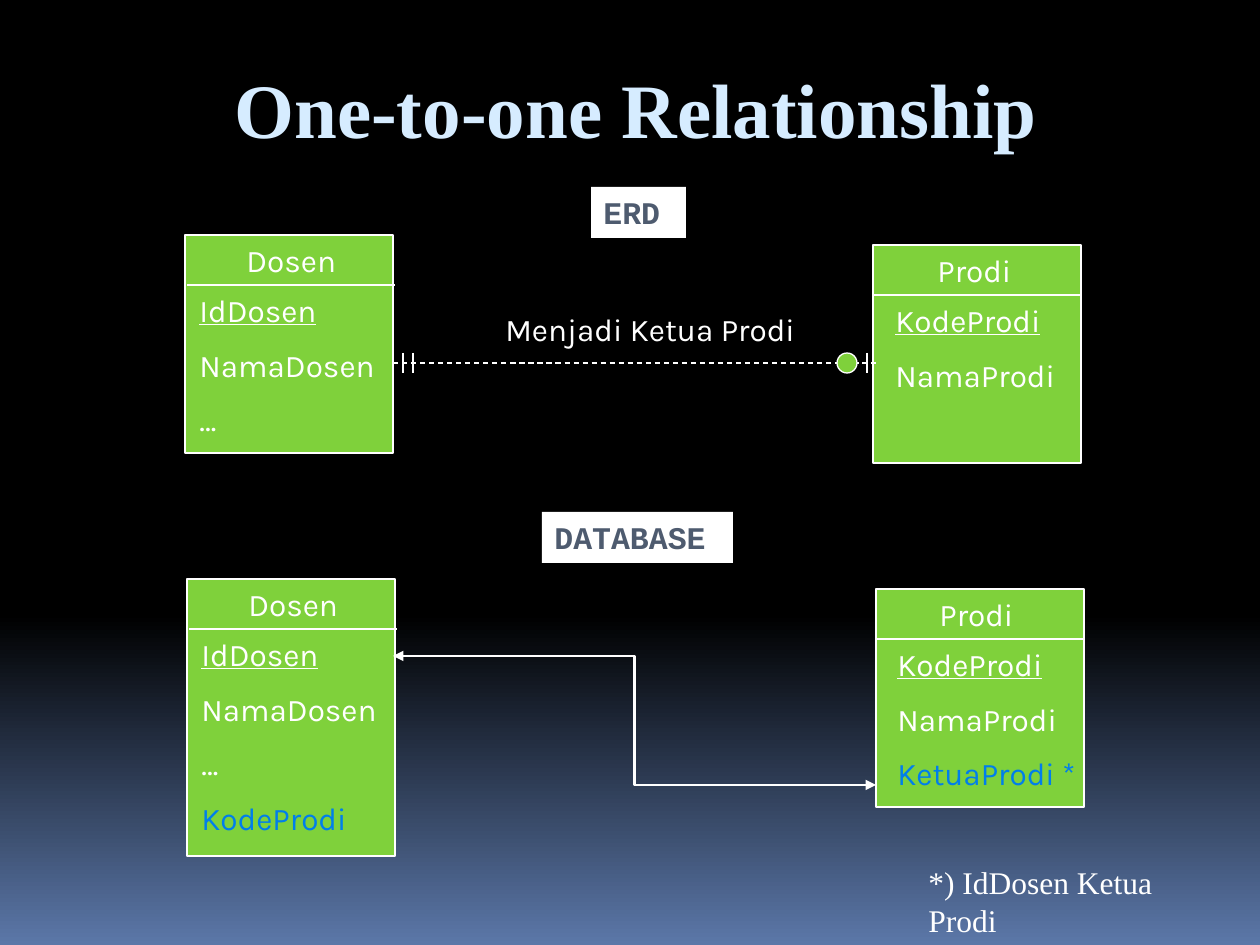
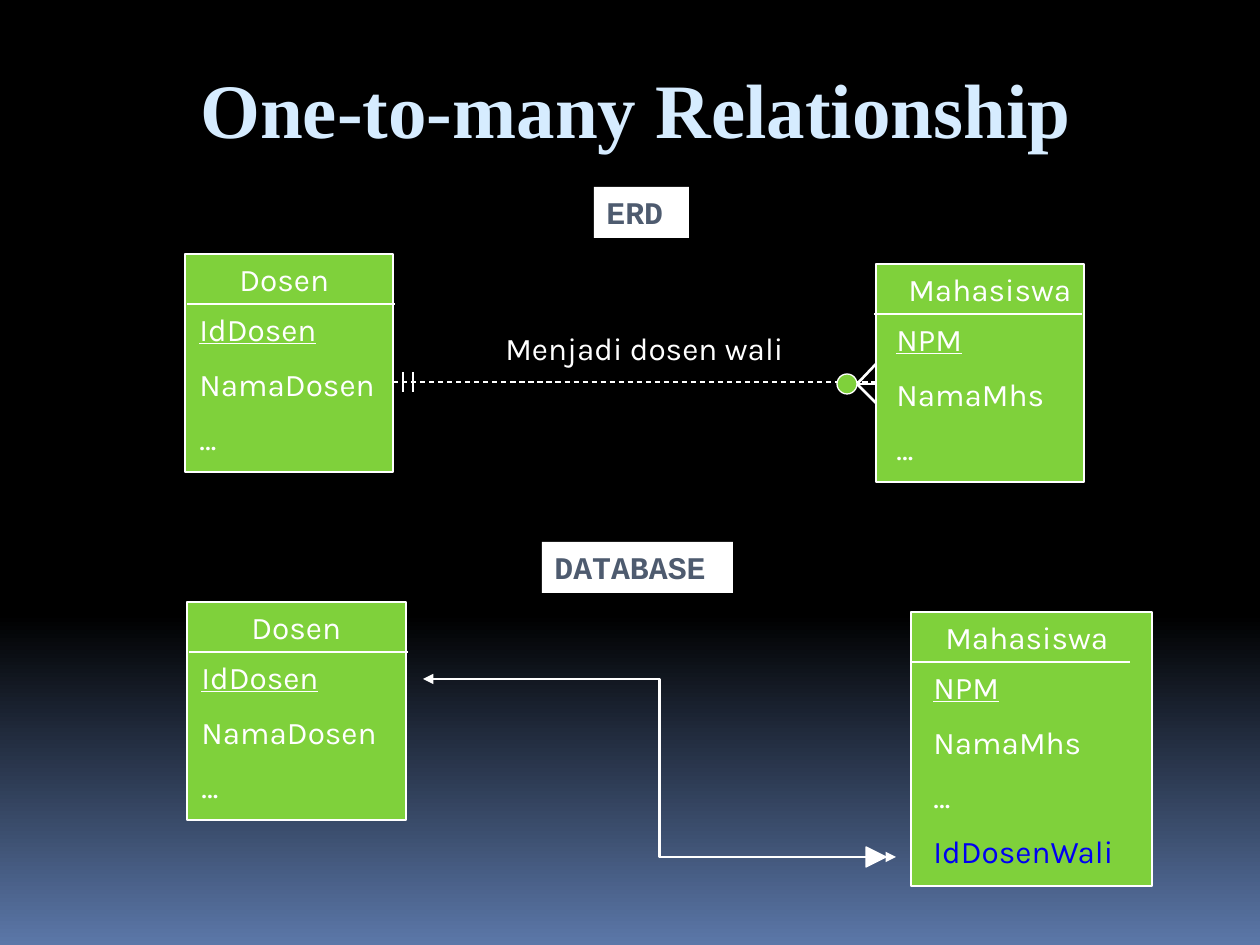
from dataclasses import dataclass
from typing import NamedTuple

from lxml import etree
from pptx import Presentation, util as u
from pptx.dml.color import RGBColor
from pptx.enum import dml, shapes, text
from pptx.oxml.ns import qn

EMU_PER_INCH, PX_PER_INCH = 914400, 126
BLACK, HAZE, WHITE = "000000", "5B77A8", "FFFFFF"
GREEN, TITLE, SLATE = "7FD13B", "D6ECFF", "4E5B6F"
SKY, NAVY = "007EEB", "0000F2"
BODY, SERIF, MONO = "Karla", "Times New Roman", "Courier New"
THIN, MEDIUM, THICK = 0.75, 1.25, 1.5
HEADER_H = 50


class Line(NamedTuple):
    x1: int
    y1: int
    x2: int
    y2: int


class Box(NamedTuple):
    x: int
    y: int
    w: int
    h: int


@dataclass(frozen=True)
class Entity:
    """A box with a name, a ruled header and fields, the first being the key."""
    name: str
    box: Box
    fields: tuple[str, ...]
    name_dx: int
    fields_dx: int
    rule_dx: int = 0
    rule_w: int = 0
    foreign: str = ""  # colour of the last field when it is a foreign key


@dataclass(frozen=True)
class Relationship:
    title: str
    entities: tuple[Entity, ...]
    caption: str
    axis_y: int
    circle_y: int
    marks: tuple[Line, ...]
    mark_width: float
    reference: Line
    erd_x: int
    database_y: int
    footnote: str = ""
    many_arrow: bool = False


def px(n: int) -> u.Emu:
    return u.Emu(round(n * EMU_PER_INCH / PX_PER_INCH))


def rgb(value: str) -> RGBColor:
    return RGBColor.from_string(value)


def add_run(p, words: str, color: str, font: str = BODY, size: int = 18,
            bold: bool = False, underline: bool = False) -> None:
    r = p.add_run()
    r.text = words
    r.font.name, r.font.size = font, u.Pt(size)
    r.font.bold, r.font.underline = bold, underline
    r.font.color.rgb = rgb(color)


def add_text(s, box: Box):
    """Add an empty wrapping text box and return its text frame."""
    tf = s.shapes.add_textbox(*map(px, box)).text_frame
    tf.word_wrap = True
    return tf


def add_shape(s, kind, box: Box, fill: str, outlined: bool = True):
    sp = s.shapes.add_shape(kind, *map(px, box))
    sp.shadow.inherit = False
    sp.fill.solid()
    sp.fill.fore_color.rgb = rgb(fill)
    if outlined:
        sp.line.color.rgb = rgb(WHITE)
        sp.line.width = u.Pt(THIN)
    else:
        sp.line.fill.background()
    return sp


def add_line(s, line: Line, width: float = THIN,
             kind=shapes.MSO_CONNECTOR.STRAIGHT):
    cx = s.shapes.add_connector(kind, *map(px, line))
    cx.line.color.rgb = rgb(WHITE)
    cx.line.width = u.Pt(width)
    etree.SubElement(cx._element.spPr, qn("a:effectLst"))
    return cx


def add_reference(s, line: Line) -> None:
    """Draw an elbow with an arrowhead at both ends."""
    cx = add_line(s, line, MEDIUM, shapes.MSO_CONNECTOR.ELBOW)
    ln = cx.line._get_or_add_ln()
    for end in ("a:headEnd", "a:tailEnd"):
        etree.SubElement(ln, qn(end), type="triangle")


def add_label(s, words: str, box: Box) -> None:
    sp = add_shape(s, shapes.MSO_SHAPE.RECTANGLE, box, WHITE, outlined=False)
    tf = sp.text_frame
    tf.vertical_anchor = text.MSO_ANCHOR.TOP
    p = tf.paragraphs[0]
    p.alignment = text.PP_ALIGN.LEFT
    add_run(p, words, SLATE, MONO, bold=True)


def add_entity(s, e: Entity) -> None:
    x, y, w, h = e.box
    rule_x, rule_y = x + e.rule_dx, y + HEADER_H
    add_shape(s, shapes.MSO_SHAPE.RECTANGLE, e.box, GREEN)
    add_line(s, Line(rule_x, rule_y, rule_x + (e.rule_w or w), rule_y))
    tf = add_text(s, Box(x + e.name_dx, y, 190, HEADER_H))
    add_run(tf.paragraphs[0], e.name, WHITE)
    tf = add_text(s, Box(x + e.fields_dx, rule_y, w + 20, h - HEADER_H))
    last = len(e.fields) - 1
    for i, field in enumerate(e.fields):
        p = tf.add_paragraph() if i else tf.paragraphs[0]
        if i:
            p.space_before = u.Pt(9.6)
        color = e.foreign if e.foreign and i == last else WHITE
        add_run(p, field, color, underline=i == 0)


def add_background(s) -> None:
    fill = s.background.fill
    fill.gradient()
    fill.gradient_angle = 270
    for stop, position, color in zip(fill.gradient_stops, (0.65, 1), (BLACK, HAZE)):
        stop.position = position
        stop.color.rgb = rgb(color)


def add_title(s, words: str) -> None:
    tf = add_text(s, Box(69, 29, 1134, 158))
    tf.vertical_anchor = text.MSO_ANCHOR.MIDDLE
    p = tf.paragraphs[0]
    p.alignment = text.PP_ALIGN.CENTER
    add_run(p, words, TITLE, SERIF, 44, bold=True)


def add_relationship(prs, rel: Relationship) -> None:
    s = prs.slides.add_slide(prs.slide_layouts[6])
    add_background(s)
    add_title(s, rel.title)
    for e in rel.entities:
        add_entity(s, e)

    tf = add_text(s, Box(493, rel.axis_y - 59, 318, 50))
    add_run(tf.paragraphs[0], rel.caption, WHITE)
    axis = add_line(s, Line(393, rel.axis_y, 876, rel.axis_y))
    axis.line.dash_style = dml.MSO_LINE.DASH
    for mark in rel.marks:
        add_line(s, mark, rel.mark_width)
    add_shape(s, shapes.MSO_SHAPE.OVAL, Box(837, rel.circle_y, 20, 20), GREEN)

    add_reference(s, rel.reference)
    add_label(s, "ERD", Box(rel.erd_x, 187, 95, 51))
    add_label(s, "DATABASE", Box(542, rel.database_y, 191, 51))
    if rel.many_arrow:
        sp = add_shape(s, shapes.MSO_SHAPE.ISOSCELES_TRIANGLE,
                       Box(866, rel.reference.y2 - 10, 20, 20), WHITE)
        sp.rotation = 90
    if rel.footnote:
        tf = add_text(s, Box(916, 857, 310, 88))
        add_run(tf.paragraphs[0], rel.footnote, WHITE, SERIF)


def ticks(top: int, *xs: int) -> tuple[Line, ...]:
    return tuple(Line(x, top, x, top + 20) for x in xs)


def crow_foot(x: int, y: int) -> tuple[Line, ...]:
    return tuple(Line(x, y, x + 19, y + dy) for dy in (-20, 0, 19))


DOSEN = ("IdDosen", "NamaDosen", "…")
PRODI = ("KodeProdi", "NamaProdi")
MAHASISWA = ("NPM", "NamaMhs", "…")

RELATIONSHIPS = (
    Relationship(
        title="One-to-one Relationship",
        entities=(
            Entity("Dosen", Box(185, 235, 208, 218), DOSEN, 49, 2, 2),
            Entity("Prodi", Box(873, 245, 208, 218), PRODI, 52, 10),
            Entity("Dosen", Box(187, 579, 208, 277), DOSEN + ("KodeProdi",),
                   49, 2, 2, foreign=SKY),
            Entity("Prodi", Box(876, 589, 208, 218), PRODI + ("KetuaProdi *",),
                   51, 9, foreign=SKY),
        ),
        caption="Menjadi Ketua Prodi",
        axis_y=363, circle_y=353,
        marks=ticks(353, 403, 413, 867), mark_width=THIN,
        reference=Line(393, 656, 876, 785),
        erd_x=591, database_y=512,
        footnote="*) IdDosen Ketua Prodi",
    ),
    Relationship(
        title="One-to-many Relationship",
        entities=(
            Entity("Dosen", Box(185, 254, 208, 218), DOSEN, 42, 2, 2),
            Entity("Mahasiswa", Box(876, 264, 208, 218), MAHASISWA, 20, 8, -2),
            Entity("Dosen", Box(187, 602, 219, 218), DOSEN, 52, 2, 2),
            Entity("Mahasiswa", Box(911, 612, 241, 274),
                   MAHASISWA + ("IdDosenWali",), 22, 10, rule_w=219, foreign=NAVY),
        ),
        caption="Menjadi dosen wali",
        axis_y=382, circle_y=374,
        marks=ticks(372, 403, 413) + crow_foot(857, 384), mark_width=THICK,
        reference=Line(423, 679, 896, 857),
        erd_x=594, database_y=542,
        many_arrow=True,
    ),
)


def main() -> None:
    prs = Presentation()
    prs.slide_width, prs.slide_height = px(1260), px(945)
    for rel in RELATIONSHIPS:
        add_relationship(prs, rel)
    prs.save("out.pptx")


if __name__ == "__main__":
    main()
